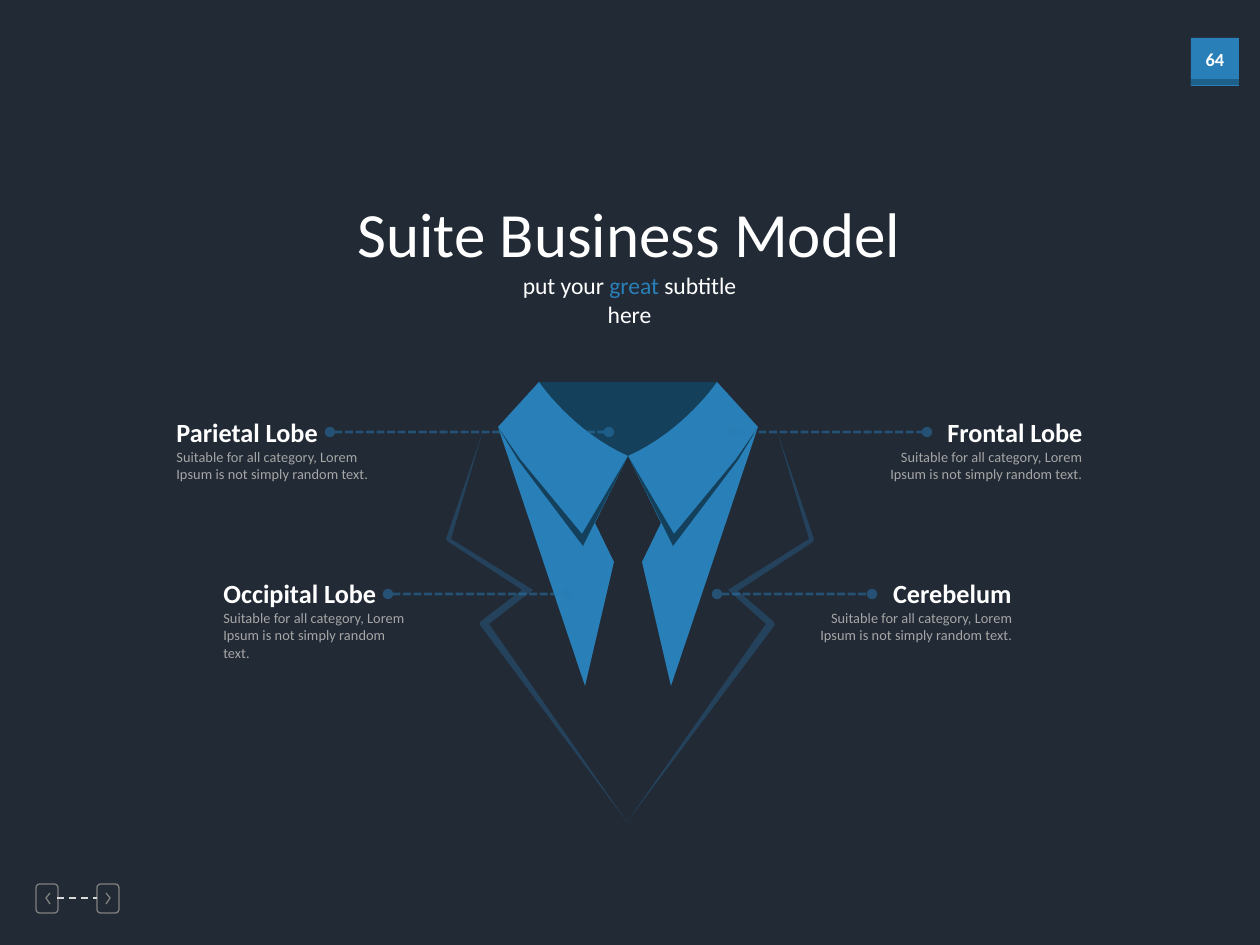
from lxml.etree import SubElement
from pptx import Presentation
from pptx.dml.color import RGBColor
from pptx.enum.dml import MSO_LINE_DASH_STYLE as DASH
from pptx.enum.shapes import MSO_CONNECTOR, MSO_SHAPE
from pptx.enum.text import MSO_ANCHOR, MSO_AUTO_SIZE, PP_ALIGN as ALIGN
from pptx.oxml.ns import qn
from pptx.util import Pt

PX = 914400 / 126
COLORS = {
    "bg": "222A35", "blue": "2980B9", "badge_edge": "1F608B", "navy": "14405C",
    "line": "297BB3", "white": "FFFFFF", "gray": "A6A6A6", "nav": "808080",
    "nav_line": "D9D9D9",
}
RGB = {name: RGBColor.from_string(value) for name, value in COLORS.items()}

prs = Presentation()
prs.slide_width, prs.slide_height = round(1260 * PX), round(945 * PX)
s = prs.slides.add_slide(prs.slide_layouts[0])
s.background.fill.solid()
s.background.fill.fore_color.rgb = RGB["bg"]


def write(sp, box, runs, size, align, bold=False, wrap=True):
    """Place a text shape at box (px) and fill it with (text, color) runs."""
    for name, value in zip(("left", "top", "width", "height"), box):
        setattr(sp, name, round(value * PX))
    tf = sp.text_frame
    frame = {"auto_size": MSO_AUTO_SIZE.NONE, "word_wrap": wrap,
             "vertical_anchor": MSO_ANCHOR.TOP}
    for name, value in frame.items():
        setattr(tf, name, value)
    p = tf.paragraphs[0]
    p.alignment, p.space_before = align, Pt(0)
    for text, color in runs:
        r = p.add_run()
        r.text = text
        font = {"name": "Calibri", "size": Pt(size), "bold": bold}
        for name, value in font.items():
            setattr(r.font, name, value)
        r.font.color.rgb = RGB[color]


def outline(points, color, closed=True):
    """Draw px points as a filled polygon, or as a thin open line."""
    emu = [(x * PX, y * PX) for x, y in points]
    fb = s.shapes.build_freeform(*emu[0])
    fb.add_line_segments(emu[1:], close=closed)
    sp = fb.convert_to_shape()
    sp.shadow.inherit = False
    if closed:
        sp.fill.solid()
        sp.fill.fore_color.rgb = RGB[color]
        sp.line.fill.background()
    else:
        sp.fill.background()
        sp.line.color.rgb = RGB[color]
        sp.line.width = Pt(0.75)
    return sp


# Page badge
for top, height, color in ((38, 48, "blue"), (79, 6, "badge_edge")):
    sp = s.shapes.add_shape(MSO_SHAPE.RECTANGLE, *(
        round(v * PX) for v in (1191, top, 48, height)))
    sp.shadow.inherit = False
    sp.fill.solid()
    sp.fill.fore_color.rgb = RGB[color]
    sp.line.fill.background()
write(s.shapes.add_textbox(0, 0, 0, 0), (1191, 42, 48, 35), [("64", "white")],
      10.5, ALIGN.CENTER, bold=True, wrap=False)

# Navigation buttons, mirrored about x = 78
chevron = [(50, 893), (46, 898), (50, 904)]
for left, points in ((36, chevron), (97, [(156 - x, y) for x, y in chevron])):
    sp = s.shapes.add_shape(MSO_SHAPE.ROUNDED_RECTANGLE, *(
        round(v * PX) for v in (left, 884, 22, 29)))
    sp.shadow.inherit = False
    sp.fill.background()
    sp.line.color.rgb = RGB["nav"]
    sp.line.width = Pt(0.75)
    outline(points, "nav", closed=False)

# Jacket lapels
lapels = [
    [(483, 431), (451, 539), (533, 590), (489, 624), (627, 822), (480, 625),
     (480, 622), (522, 590), (447, 541), (446, 539)],
    [(777, 431), (809, 539), (728, 590), (766, 624), (627, 822), (775, 625),
     (773, 621), (738, 591), (813, 542), (814, 539)],
]
for points in lapels:
    sp = outline(points, "line")
    fill = sp.fill._xPr.find(qn("a:solidFill"))
    SubElement(fill[0], qn("a:alpha"), val="30000")

# Collar, mirrored about x = 628; its neckline is a cubic curve
CENTER = 628
p0, p1, p2, p3 = (539, 382), (539, 382), (572, 431), (CENTER, 456)
neckline = []
for i in range(17):
    t = i / 16
    weights = ((1 - t) ** 3, 3 * t * (1 - t) ** 2, 3 * t * t * (1 - t), t ** 3)
    neckline.append(tuple(sum(w * p[axis] for w, p in zip(weights, (p0, p1, p2, p3)))
                          for axis in (0, 1)))
panel = [(498, 427)] + neckline + [(595, 523), (614, 562), (585, 686)]
fold = [(498, 427), (520, 459), (582, 534), (CENTER, 456), (583, 546), (518, 460)]
outline(neckline + [(2 * CENTER - x, y) for x, y in reversed(neckline)], "navy")
for points, color in ((panel, "blue"), (fold, "navy")):
    outline(points, color)
    outline([(2 * CENTER - x, y) for x, y in points], color)

# Dashed lines: x1, x2, y, color, width, dash, dotted ends
callout = ("line", 1.5, DASH.SQUARE_DOT, True)
lines = [(57, 97, 898, "nav_line", 1, DASH.DASH, False)] + [
    (*ends, *callout) for ends in (
        (733, 927, 432), (717, 872, 594), (330, 609, 432), (388, 567, 594))]
for x1, x2, y, color, width, dash, dotted in lines:
    cn = s.shapes.add_connector(MSO_CONNECTOR.STRAIGHT, *(
        round(v * PX) for v in (x1, y, x2, y)))
    cn.line.color.rgb = RGB[color]
    cn.line.width = Pt(width)
    cn.line.dash_style = dash
    ln = cn.line._get_or_add_ln()
    if dotted:
        SubElement(ln.find(qn("a:solidFill"))[0], qn("a:alpha"), val="50000")
        for end in ("a:headEnd", "a:tailEnd"):
            SubElement(ln, qn(end), type="oval")
    SubElement(ln.getparent(), qn("a:effectLst"))

# Labels: name, heading left and width, body left and width, top, alignment
BODY = "Suitable for all category, Lorem Ipsum is not simply random text."
labels = [
    ("Parietal Lobe", 164, 169, 164, 232, 410, ALIGN.LEFT),
    ("Occipital Lobe", 211, 180, 211, 214, 571, ALIGN.LEFT),
    ("Frontal Lobe", 933, 162, 867, 228, 410, ALIGN.RIGHT),
    ("Cerebelum", 879, 145, 797, 228, 571, ALIGN.RIGHT),
]
for name, head_x, head_w, body_x, body_w, top, align in labels:
    write(s.shapes.add_textbox(0, 0, 0, 0), (head_x, top, head_w, 44),
          [(name, "white")], 15, align, bold=True, wrap=False)
    write(s.shapes.add_textbox(0, 0, 0, 0), (body_x, top + 32, body_w, 66),
          [(BODY, "gray")], 8.25, align)

# Title and subtitle
write(s.placeholders[1], (486, 265, 287, 70),
      [("put your ", "white"), ("great ", "blue"), ("subtitle here", "white")],
      13.5, ALIGN.CENTER)
write(s.shapes.title, (329, 188, 600, 89), [("Suite Business Model", "white")],
      36, ALIGN.CENTER)

prs.save("out.pptx")
